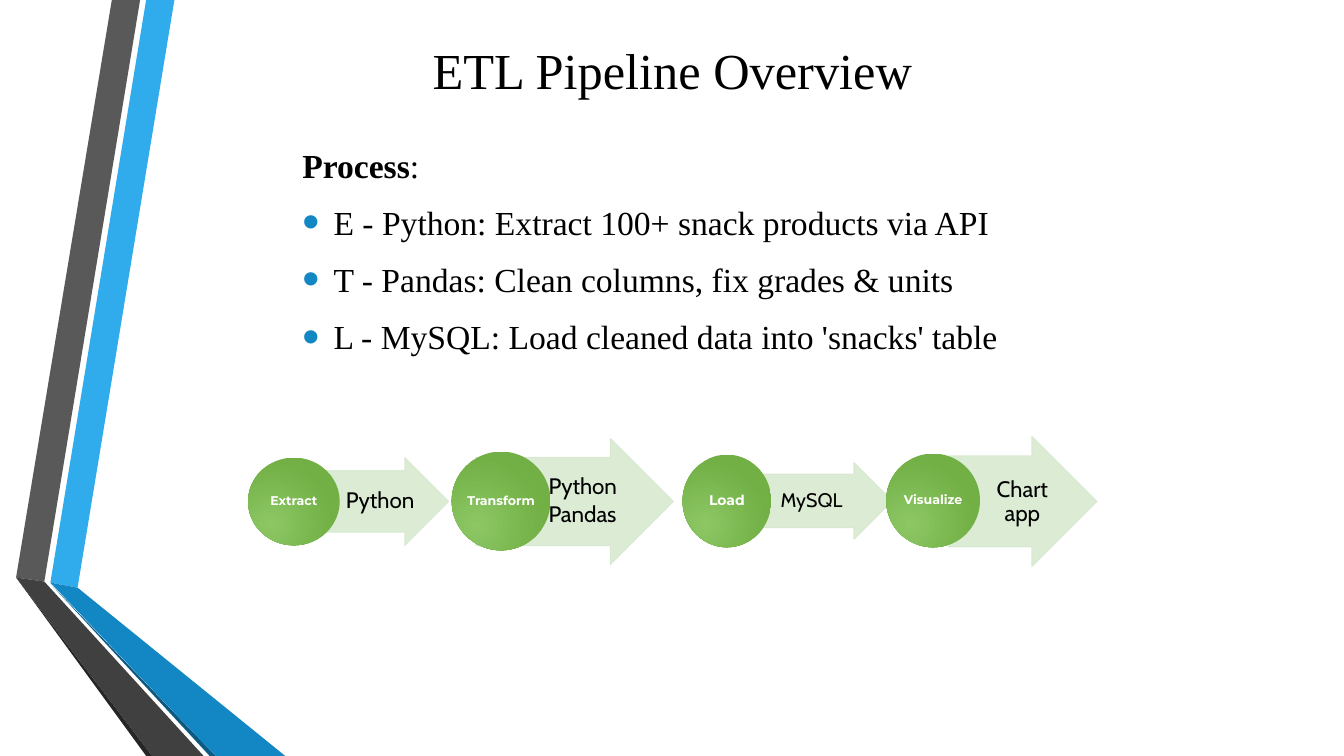
import pptx
import pptx.dml.color
import pptx.enum.dml
import pptx.enum.shapes
import pptx.enum.text
import pptx.oxml
import pptx.oxml.ns
import pptx.util
from dataclasses import dataclass

Inches = pptx.util.Inches
Pt = pptx.util.Pt
Kind = pptx.enum.shapes.MSO_SHAPE
Align = pptx.enum.text.PP_ALIGN
Middle = pptx.enum.text.MSO_ANCHOR.MIDDLE
qn = pptx.oxml.ns.qn


@dataclass(frozen=True)
class Theme:
    ink: str = "000000"
    white: str = "FFFFFF"
    arrow: str = "D8E9D0"
    light: str = "8CC764"
    dark: str = "72AF45"
    bullet: str = "1287C3"
    serif: str = "Times New Roman"
    sans: str = "Cabin"
    badge: str = "Montserrat"
    title: int = 36
    body: int = 24


THEME = Theme()

BANDS = [
    ("30ACEC", [(0.5, 5.78), (0.77, 5.83), (1.73, 0), (1.45, 0)]),
    ("595959", [(1.39, 0), (1.11, 0), (0.16, 5.73), (0.44, 5.77)]),
    ("262626", [(0.16, 5.73), (1.45, 7.5), (1.51, 7.5)]),
    ("0C5A82", [(0.5, 5.79), (2.08, 7.5), (2.14, 7.5)]),
    ("1287C3", [(0.5, 5.78), (2.14, 7.5), (2.83, 7.5), (0.77, 5.83)]),
    ("404040", [(2.02, 7.5), (0.44, 5.77), (0.16, 5.73), (1.51, 7.5)]),
]

STEPS = [
    "E - Python: Extract 100+ snack products via API",
    "T - Pandas: Clean columns, fix grades & units",
    "L - MySQL: Load cleaned data into 'snacks' table",
]

STAGES = [
    ("Extract", 9, (2.46, 4.54, 0.91, 0.87), (3.01, 4.54, 1.44, 0.87),
     ["Python"], 16, (3.37, 4.67, 0.78, 0.61), Align.CENTER),
    ("Transform", 9, (4.48, 4.48, 0.98, 0.98), (4.72, 4.35, 1.96, 1.25),
     ["Python", "Pandas"], 16, (5.4, 4.54, 0.85, 0.87), Align.LEFT),
    ("Load", 10, (6.77, 4.51, 0.88, 0.92), (7.05, 4.59, 1.8, 0.76),
     ["MySQL"], 14, (7.5, 4.71, 1.08, 0.53), Align.CENTER),
    ("Visualize", 9, (8.79, 4.5, 0.93, 0.93), (9.41, 4.33, 1.47, 1.29),
     ["Chart app"], 16, (9.77, 4.53, 0.72, 0.9), Align.CENTER),
]


def rgb(code):
    return pptx.dml.color.RGBColor.from_string(code)


def style(font, name, size, color, bold=False):
    font.name, font.size, font.bold = name, Pt(size), bold
    font.color.rgb = rgb(color)


def pad(frame, *sides):
    frame.word_wrap = True
    frame.vertical_anchor = Middle
    (frame.margin_left, frame.margin_top,
     frame.margin_right, frame.margin_bottom) = map(Inches, sides)


def add_text(slide, box, sides):
    frame = slide.shapes.add_textbox(*map(Inches, box)).text_frame
    pad(frame, *sides)
    return frame


def add_band(slide, color, points):
    points = [(Inches(x), Inches(y)) for x, y in points]
    outline = slide.shapes.build_freeform(*points[0])
    outline.add_line_segments(points[1:], close=True)
    band = outline.convert_to_shape()
    band.shadow.inherit = False
    band.fill.solid()
    band.fill.fore_color.rgb = rgb(color)
    band.line.fill.background()


def add_shape(slide, kind, box):
    shape = slide.shapes.add_shape(kind, *map(Inches, box))
    shape.shadow.inherit = False
    return shape


def add_arrow(slide, box):
    arrow = add_shape(slide, Kind.RIGHT_ARROW, box)
    arrow.adjustments[0] = 0.7
    arrow.adjustments[1] = 0.5
    arrow.line.width = Pt(0.75)
    for fill in (arrow.fill, arrow.line.fill):
        fill.solid()
        fill.fore_color.rgb = rgb(THEME.arrow)
    for color in arrow._element.spPr.iter(qn("a:srgbClr")):
        color.append(pptx.oxml.parse_xml(
            f'<a:alpha {pptx.oxml.ns.nsdecls("a")} val="90000"/>'))


def add_badge(slide, box, label, size):
    badge = add_shape(slide, Kind.OVAL, box)
    badge.line.fill.background()
    badge.fill.gradient()
    for stop, color, place in zip(
            badge.fill.gradient_stops, (THEME.light, THEME.dark), (0, 1)):
        stop.color.rgb = rgb(color)
        stop.position = place
    lin = badge._element.spPr.find(".//" + qn("a:lin"))
    lin.getparent().replace(lin, pptx.oxml.parse_xml(
        f'<a:path {pptx.oxml.ns.nsdecls("a")} path="circle">'
        '<a:fillToRect l="50000" t="100000" r="100000" b="50000"/></a:path>'))
    pad(badge.text_frame, 0.01, 0.01, 0.01, 0.01)
    para = badge.text_frame.paragraphs[0]
    para.text = label
    para.alignment = Align.CENTER
    para.line_spacing = 0.9
    style(para.font, THEME.badge, size, THEME.white, True)


def add_tools(slide, box, names, size, align):
    frame = add_text(slide, box, (0.04, 0.01, 0.02, 0.01))
    frame.text = "\n".join(names)
    for para in frame.paragraphs:
        para.alignment = align
        para.line_spacing = 0.9
        para.space_after = Pt(size * 0.15)
        style(para.font, THEME.sans, size, THEME.ink)


def add_bullet(para):
    props = para._p.get_or_add_pPr()
    props.set("marL", str(Inches(0.31)))
    props.set("indent", str(-Inches(0.31)))
    space = pptx.oxml.ns.nsdecls("a")
    for mark in (
            f'<a:buClr {space}><a:srgbClr val="{THEME.bullet}"/></a:buClr>',
            f'<a:buSzPct {space} val="145000"/>',
            f'<a:buFont {space} typeface="Arial"/>',
            f'<a:buChar {space} char="•"/>'):
        props.append(pptx.oxml.parse_xml(mark))


def add_title(slide, text):
    frame = add_text(slide, (3.96, 0.1, 5.42, 1.18), (0.1, 0.05, 0.1, 0.05))
    para = frame.paragraphs[0]
    para.text = text
    para.alignment = Align.CENTER
    style(para.font, THEME.serif, THEME.title, THEME.ink)


def add_body(slide, head, steps):
    frame = add_text(slide, (2.9, 1.3, 7.53, 2.37), (0.1, 0.05, 0.1, 0.05))
    first = frame.paragraphs[0]
    first.add_run().text = head
    first.runs[0].font.bold = True
    first.add_run().text = ":"
    for step in steps:
        para = frame.add_paragraph()
        para.text = step
        para.space_before = Pt(6)
        add_bullet(para)
    for para in frame.paragraphs:
        para.space_after = Pt(6)
        style(para.font, THEME.serif, THEME.body, THEME.ink)


def main():
    deck = pptx.Presentation()
    deck.slide_width, deck.slide_height = Inches(13.33), Inches(7.5)
    slide = deck.slides.add_slide(deck.slide_layouts[6])
    for color, points in BANDS:
        add_band(slide, color, points)
    add_title(slide, "ETL Pipeline Overview")
    add_body(slide, "Process", STEPS)
    for label, small, disc, arrow, tools, size, box, align in STAGES:
        add_arrow(slide, arrow)
        add_tools(slide, box, tools, size, align)
        add_badge(slide, disc, label, small)
    deck.save("out.pptx")


if __name__ == "__main__":
    main()
